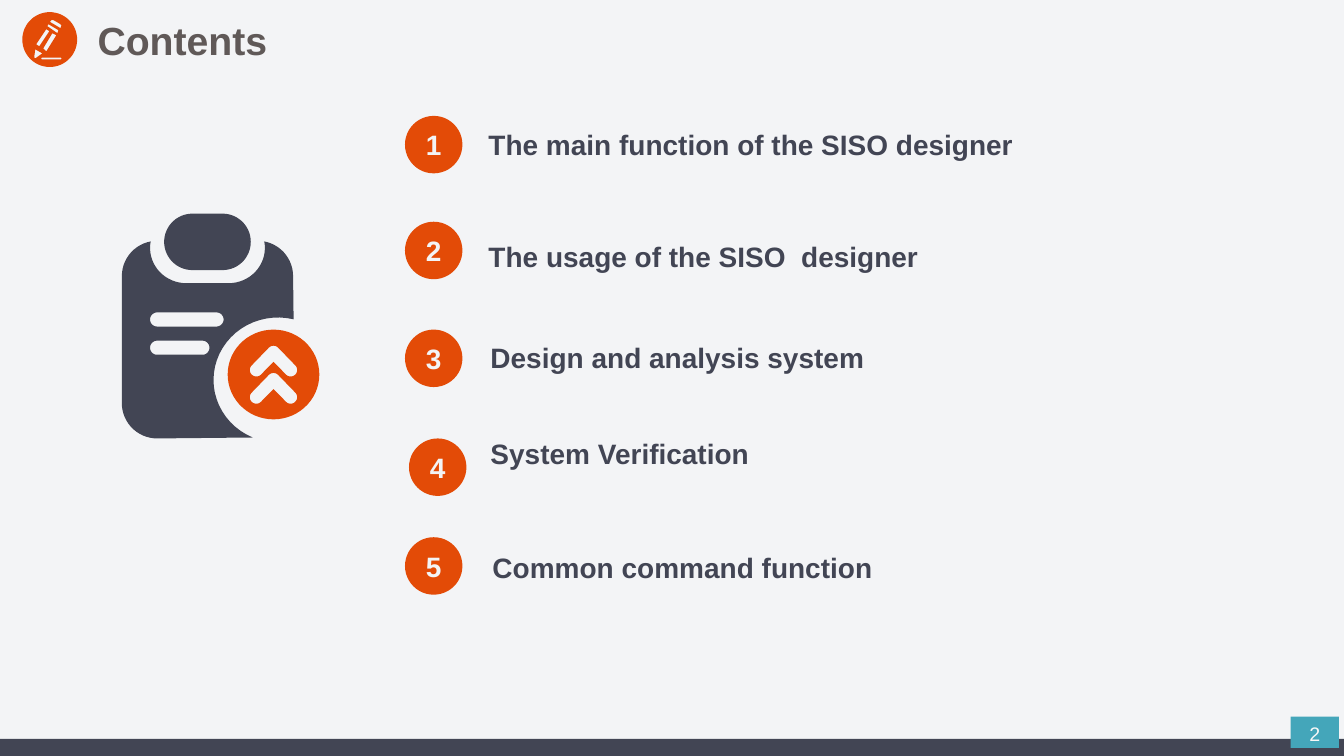
from math import cos, radians, sin

from pptx import Presentation
from pptx.dml.color import RGBColor
from pptx.enum.shapes import MSO_SHAPE
from pptx.enum.text import MSO_ANCHOR, PP_ALIGN
from pptx.util import Inches, Pt

CELL = Inches(0.01)
COLS, ROWS = 1334, 750

PAPER = RGBColor(0xF3, 0xF4, 0xF6)
SLATE = RGBColor(0x42, 0x45, 0x54)
ORANGE = RGBColor(0xE3, 0x4B, 0x07)
TEAL = RGBColor(0x44, 0xA6, 0xBA)
TITLE_GREY = RGBColor(0x60, 0x59, 0x58)
PAGE_WHITE = RGBColor(0xF8, 0xF8, 0xF8)

TITLE_FONT = {"name": "Arial", "size": Pt(28), "bold": True}
ITEM_FONT = {"name": "Arial", "size": Pt(20), "bold": True}
PAGE_FONT = {"name": "Arial", "size": Pt(14), "bold": False}

AGENDA = [
    ("The main function of the SISO designer", (402, 115), (475, 122, 553, 44)),
    ("The usage of the SISO  designer", (402, 220), (475, 233, 458, 77)),
    ("Design and analysis system", (402, 327), (477, 333, 394, 44)),
    ("System Verification", (406, 435), (477, 428, 667, 44)),
    ("Common command function", (402, 533), (479, 541, 400, 44)),
]


def cells(*values):
    """Turn grid counts into lengths."""
    return [round(v * CELL) for v in values]


def paint(sp, color):
    """Give a shape a plain fill with neither line nor shadow."""
    sp.shadow.inherit = False
    sp.fill.solid()
    sp.fill.fore_color.rgb = color
    sp.line.fill.background()
    return sp


def write(sp, text, font, color, align=PP_ALIGN.LEFT):
    """Put one formatted run into a shape."""
    p = sp.text_frame.paragraphs[0]
    p.alignment = align
    r = p.add_run()
    r.text = text
    for key, value in font.items():
        setattr(r.font, key, value)
    r.font.color.rgb = color


def add_preset(s, kind, box, color):
    """Add a filled preset shape."""
    return paint(s.shapes.add_shape(kind, *cells(*box)), color)


def add_text(s, box, text, font, color, align=PP_ALIGN.LEFT):
    """Add a wrapping text box anchored at the top."""
    sp = s.shapes.add_textbox(*cells(*box))
    tf = sp.text_frame
    tf.word_wrap = True
    tf.vertical_anchor = MSO_ANCHOR.TOP
    write(sp, text, font, color, align)


def add_outline(s, contours, color):
    """Add one freeform whose inner contours are holes."""
    first, *holes = [[cells(*point) for point in c] for c in contours]
    fb = s.shapes.build_freeform(*first[0])
    fb.add_line_segments(first[1:])
    for hole in holes:
        fb.move_to(*hole[0])
        fb.add_line_segments(hole[1:])
    paint(fb.convert_to_shape(), color)


def arc(cx, cy, rx, ry, start, end):
    """Return points along an arc, with angles clockwise from the right."""
    steps = max(2, round(abs(end - start) / 6))
    angles = [radians(start + (end - start) * i / steps) for i in range(steps + 1)]
    return [(cx + rx * cos(a), cy + ry * sin(a)) for a in angles]


def pill(x, y, w, h):
    """Return the contour of a bar with round ends."""
    r = h / 2
    return arc(x + r, y + r, r, r, 90, 270) + arc(x + w - r, y + r, r, r, -90, 90)


def chevron(cx, top):
    """Return the contour of an upward chevron with round ends."""
    r, reach, drop = 6.5, 17, 17.5
    y = top + r
    left = arc(cx - reach, y + drop, r, r, 225, 45)
    right = arc(cx + reach, y + drop, r, r, 135, -45)
    return arc(cx, y, r, r, -45, -135) + left + [(cx, top + 16)] + right


def add_pencil(s):
    """Draw the pencil badge beside the title."""
    add_outline(s, [
        arc(49.4, 39.3, 27.2, 27.2, 0, 360),
        pill(41, 57.2, 20, 1.8),
        [(43, 48), (52, 33), (56, 35), (46, 51)],
        [(36, 44), (46, 29), (49, 31), (39, 46)],
        [(34, 57), (35, 49), (42, 53), (35, 58)],
        [(48, 24), (47, 26), (57, 33), (58, 30)],
        [(50, 21), (51.5, 19.8), (53, 20), (60, 24), (61, 25.5), (60, 28), (50, 22)],
    ], ORANGE)


def add_clipboard(s):
    """Draw the clipboard and its upward badge."""
    body = (arc(227, 246, 36, 35, -10, 90) + arc(185, 246, 36, 35, 90, 190)
            + arc(156, 274, 35, 35, 260, 180) + arc(156, 400, 35, 35, 180, 90)
            + arc(276, 377, 64, 62, 113, 284) + arc(256, 274, 35, 35, 0, -80))
    add_outline(s, [pill(163, 212, 86, 56), body,
                    pill(149, 310, 73, 14), pill(149, 338, 59, 14)], SLATE)
    add_outline(s, [arc(271.5, 371.5, 45.5, 44.5, 0, 360),
                    chevron(271.5, 343), chevron(271.5, 370)], ORANGE)


def add_agenda(s):
    """Add the numbered discs and their entries."""
    for number, (text, disc, box) in enumerate(AGENDA, 1):
        sp = add_preset(s, MSO_SHAPE.OVAL, (*disc, 57, 57), ORANGE)
        write(sp, str(number), ITEM_FONT, PAPER, PP_ALIGN.CENTER)
        add_text(s, box, text, ITEM_FONT, SLATE)


def add_footer(s):
    """Add the bottom band and the page number."""
    add_preset(s, MSO_SHAPE.RECTANGLE, (0, ROWS - 17, COLS, 17), SLATE)
    add_preset(s, MSO_SHAPE.RECTANGLE, (1281, 711, 48, 31), TEAL)
    add_text(s, (1283, 711, 44, 34), "2", PAGE_FONT, PAGE_WHITE, PP_ALIGN.CENTER)


def main():
    """Build the contents slide."""
    prs = Presentation()
    prs.slide_width, prs.slide_height = cells(COLS, ROWS)
    s = prs.slides.add_slide(prs.slide_layouts[6])
    s.background.fill.solid()
    s.background.fill.fore_color.rgb = PAPER
    add_footer(s)
    add_text(s, (87, 11, 559, 57), "Contents", TITLE_FONT, TITLE_GREY)
    add_pencil(s)
    add_clipboard(s)
    add_agenda(s)
    prs.save("out.pptx")


if __name__ == "__main__":
    main()
